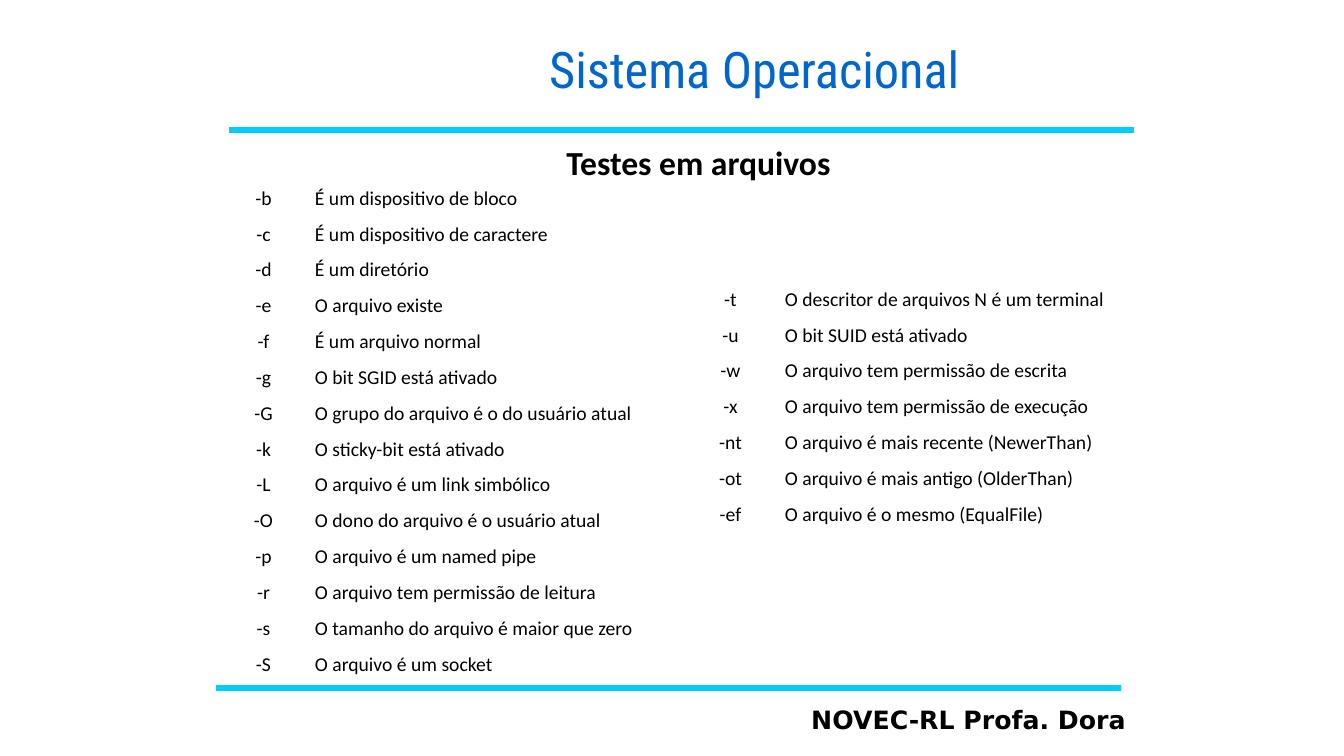
from lxml import etree
from pptx import Presentation
from pptx.dml.color import RGBColor
from pptx.enum.shapes import MSO_CONNECTOR
from pptx.enum.text import MSO_ANCHOR, PP_ALIGN
from pptx.oxml.ns import qn
from pptx.util import Emu, Pt

STRAIGHT = MSO_CONNECTOR.STRAIGHT
LEFT, CENTER = PP_ALIGN.LEFT, PP_ALIGN.CENTER
TOP, MIDDLE = MSO_ANCHOR.TOP, MSO_ANCHOR.MIDDLE

TITLE = "Sistema Operacional"
SUBTITLE = "Testes em arquivos"
FOOTER = "NOVEC-RL Profa. Dora"
TESTS_LEFT = [
    ("-b", "É um dispositivo de bloco"),
    ("-c", "É um dispositivo de caractere"),
    ("-d", "É um diretório"),
    ("-e", "O arquivo existe"),
    ("-f", "É um arquivo normal"),
    ("-g", "O bit SGID está ativado"),
    ("-G", "O grupo do arquivo é o do usuário atual"),
    ("-k", "O sticky-bit está ativado"),
    ("-L", "O arquivo é um link simbólico"),
    ("-O", "O dono do arquivo é o usuário atual"),
    ("-p", "O arquivo é um named pipe"),
    ("-r", "O arquivo tem permissão de leitura"),
    ("-s", "O tamanho do arquivo é maior que zero"),
    ("-S", "O arquivo é um socket"),
]
TESTS_RIGHT = [
    ("-t", "O descritor de arquivos N é um terminal"),
    ("-u", "O bit SUID está ativado"),
    ("-w", "O arquivo tem permissão de escrita"),
    ("-x", "O arquivo tem permissão de execução"),
    ("-nt", "O arquivo é mais recente (NewerThan)"),
    ("-ot", "O arquivo é mais antigo (OlderThan)"),
    ("-ef", "O arquivo é o mesmo (EqualFile)"),
]
RULES = [(229, 130), (216, 688)]
RULE_W = 905
TABLES = [
    (TESTS_LEFT, (216, 179), (95, 402), 502),
    (TESTS_RIGHT, (680, 280), (101, 395), 251),
]

THEME = {
    "rule": "00CCFF",
    "rule_pt": 4.5,
    "border": "FFFFFF",
    "outline": "99CCFF",
    "outline_pt": 1.5,
    "title": {"name": "Roboto Condensed", "size": 36, "color": "0066CC"},
    "subtitle": {"name": "Calibri", "size": 24, "color": "000000", "bold": True},
    "footer": {"name": "DejaVu Sans", "size": 18, "color": "000000", "bold": True},
    "cell": {"name": "Calibri", "size": 14, "color": "000000"},
}


def px(n):
    return Emu(round(n * 914400 / 100.8))


def write(tf, text, style, align):
    p = tf.paragraphs[0]
    p.alignment = align
    r = p.add_run()
    r.text = text
    values = dict(style, size=Pt(style["size"]))
    r.font.color.rgb = RGBColor.from_string(values.pop("color"))
    for key, value in values.items():
        setattr(r.font, key, value)
    return p, r


def line_xml(parent, index, tag, color, width):
    ln = etree.Element(qn(tag), w=str(Pt(width)))
    fill = etree.SubElement(ln, qn("a:solidFill"))
    etree.SubElement(fill, qn("a:srgbClr"), val=color)
    parent.insert(index, ln)


def add_text(slide, box, text, style, wrap=True, anchor=TOP):
    tf = slide.shapes.add_textbox(*map(px, box)).text_frame
    tf.word_wrap = wrap
    tf.vertical_anchor = anchor
    return write(tf, text, style, CENTER)[1]


def add_rule(slide, x, y):
    s = slide.shapes.add_connector(STRAIGHT, px(x), px(y), px(x + RULE_W), px(y))
    s.line.color.rgb = RGBColor.from_string(THEME["rule"])
    s.line.width = Pt(THEME["rule_pt"])
    etree.SubElement(s._element.spPr, qn("a:effectLst"))


def add_tests(slide, tests, origin, widths, height):
    frame = slide.shapes.add_table(
        len(tests), len(widths), *map(px, (*origin, sum(widths), height)))
    table = frame.table
    table.first_row = table.horz_banding = False
    for column, width in zip(table.columns, widths):
        column.width = px(width)
    for i, test in enumerate(tests):
        table.rows[i].height = px(height / len(tests))
        for j, (text, align) in enumerate(zip(test, (CENTER, LEFT))):
            cell = table.cell(i, j)
            cell.fill.background()
            for side in ("left", "right", "top", "bottom"):
                setattr(cell, f"margin_{side}", px(4))
            p, r = write(cell.text_frame, text, THEME["cell"], align)
            p.line_spacing = 1.15
            for k, side in enumerate("LRTB"):
                width = 3 if i == 0 and side == "B" else 1
                line_xml(cell._tc.tcPr, k, f"a:ln{side}", THEME["border"], width)


def main():
    prs = Presentation()
    prs.slide_width, prs.slide_height = px(1344), px(756)
    slide = prs.slides.add_slide(prs.slide_layouts[6])
    for x, y in RULES:
        add_rule(slide, x, y)
    r = add_text(slide, (393, 28, 723, 80), TITLE, THEME["title"], False, MIDDLE)
    line_xml(r.font._element, 0, "a:ln", THEME["outline"], THEME["outline_pt"])
    add_text(slide, (782, 699, 373, 40), FOOTER, THEME["footer"])
    for table in TABLES:
        add_tests(slide, *table)
    add_text(slide, (242, 137, 913, 50), SUBTITLE, THEME["subtitle"])
    prs.save("out.pptx")


if __name__ == "__main__":
    main()
